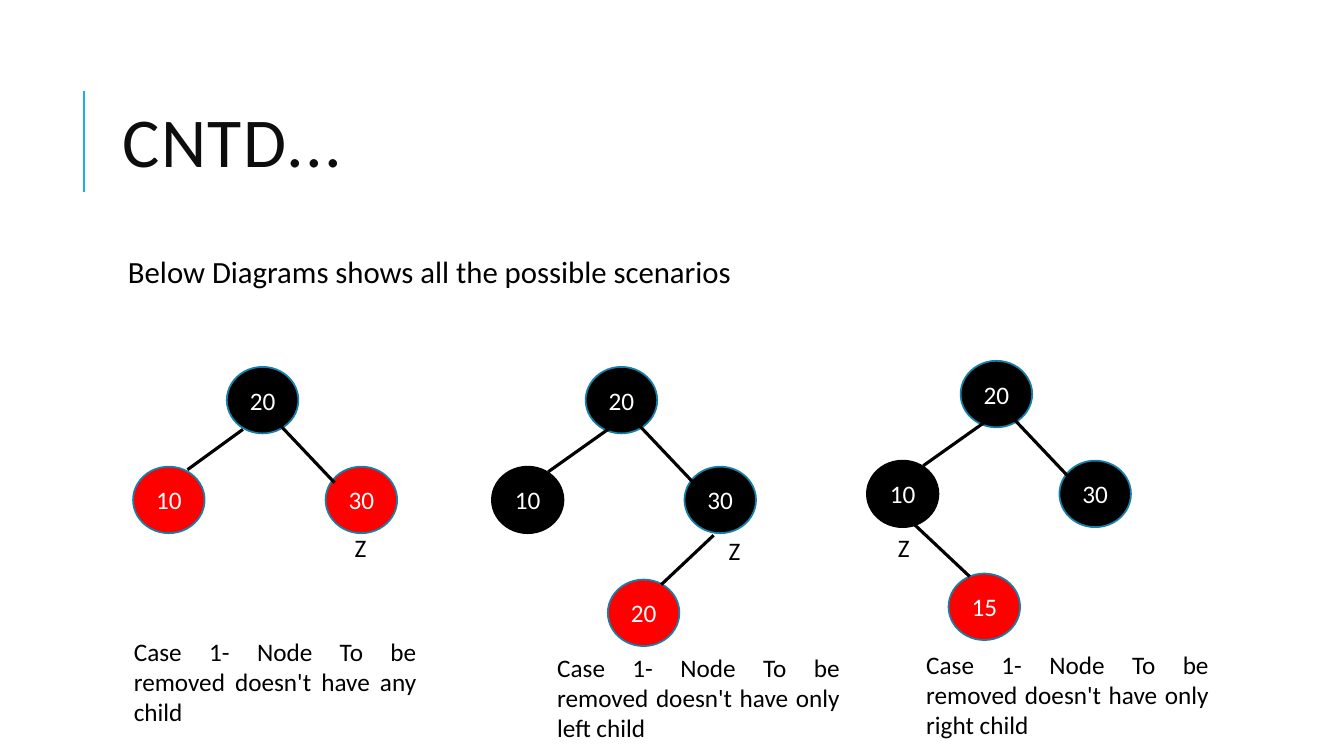
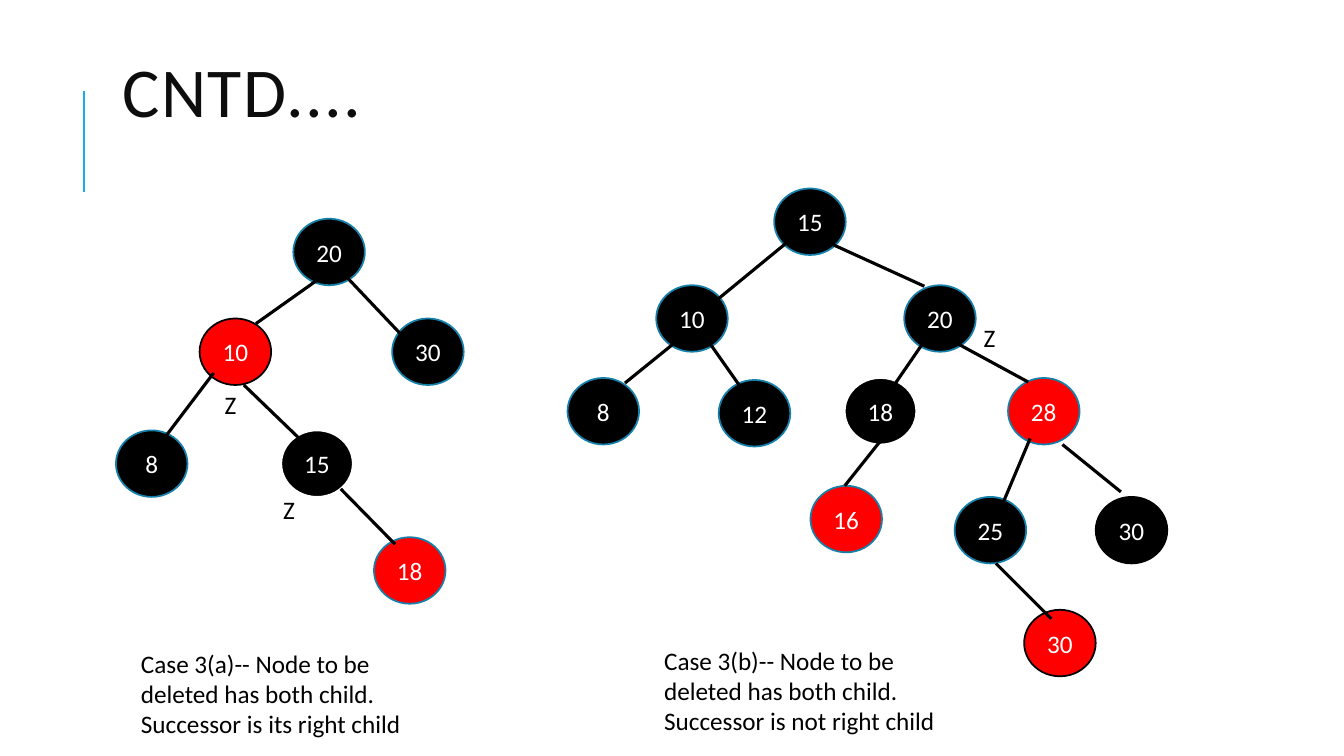
from dataclasses import dataclass
from typing import Optional

from lxml.etree import SubElement
from pptx import Presentation
from pptx.dml.color import RGBColor
from pptx.enum.shapes import MSO_CONNECTOR as Connector, MSO_SHAPE as Preset
from pptx.enum.text import MSO_ANCHOR as Anchor, PP_ALIGN as Align
from pptx.oxml.ns import qn
from pptx.slide import Slide
from pptx.util import Emu, Inches, Pt

FONT = "Calibri"
COLORS = {
    "black": "000000",
    "red": "FF0000",
    "white": "FFFFFF",
    "title": "0D0D0D",
    "accent": "1CADE4",
    "outline": "1580A9",
}

# The grid has square cells, ten to the inch.
CELL = Inches(0.1)
SLIDE_COLUMNS, SLIDE_ROWS = 133.33, 75
NODE_WIDTH, NODE_HEIGHT = 7.1, 6.6
CAPTION_WIDTH, CAPTION_HEIGHT = 30, 10.1
MARK_WIDTH, MARK_HEIGHT = 6.3, 4
CONTENT_LEFT, CONTENT_WIDTH = 11.2, 106.3
TITLE_HEIGHT = 16.4


@dataclass(frozen=True)
class Node:
    value: int
    column: float
    row: float
    fill: str = "black"
    outline: str = "outline"


@dataclass(frozen=True)
class Edge:
    start_column: float
    start_row: float
    end_column: float
    end_row: float

    def moved(self, columns: float, rows: float) -> "Edge":
        return Edge(self.start_column + columns, self.start_row + rows,
                    self.end_column + columns, self.end_row + rows)


@dataclass(frozen=True)
class Caption:
    text: str
    column: float
    row: float
    align: Align = Align.JUSTIFY
    boxed: bool = False


@dataclass(frozen=True)
class Tree:
    nodes: list[Node]
    edges: list[Edge]
    marks: list[tuple[float, float]]
    caption: Caption


@dataclass(frozen=True)
class Page:
    title: str
    title_row: float
    trees: list[Tree]
    lead: Optional[str] = None


LEFT_EDGE = Edge(2.5, 6, -3.7, 10.4)
RIGHT_EDGE = Edge(5.4, 5.9, 10.7, 11.5)


def small_tree(column: float, row: float, caption: Caption,
               marks: list[tuple[float, float]],
               left_fill: str = "black", left_outline: str = "black",
               right_fill: str = "black", left_edge: Edge = LEFT_EDGE,
               nodes: tuple[Node, ...] = (), edges: tuple[Edge, ...] = ()) -> Tree:
    """Root 20 with children 10 and 30, plus any deeper nodes and edges."""
    family = [
        Node(20, column, row),
        Node(10, column - 9.3, row + 9.9, left_fill, left_outline),
        Node(30, column + 9.8, row + 9.9, right_fill),
    ]
    branches = [edge.moved(column, row) for edge in (left_edge, RIGHT_EDGE)]
    return Tree(family + list(nodes), branches + list(edges), marks, caption)


NO_CHILD = small_tree(
    22.5, 36.4,
    Caption("Case 1- Node To be removed doesn't have any child", 12.3, 62.6),
    marks=[(34.2, 52.3)],
    left_fill="red", left_outline="outline", right_fill="red",
    left_edge=Edge(1.6, 6.2, -3.9, 10.2),
)
LEFT_CHILD = small_tree(
    58.1, 36.4,
    Caption("Case 1- Node To be removed doesn't have only left child", 54.3, 64.2),
    marks=[(71.3, 52.6)],
    nodes=(Node(20, 60.3, 57.5, "red"),),
    edges=(Edge(70.8, 53.1, 65.6, 58),),
)
RIGHT_CHILD = small_tree(
    95.3, 35.8,
    Caption("Case 1- Node To be removed doesn't have only right child", 90.9, 63.9),
    marks=[(88.1, 52.3)],
    nodes=(Node(15, 94.1, 56.9, "red"),),
    edges=(Edge(89.5, 50.9, 96.2, 57.2),),
)
SUCCESSOR_IS_CHILD = small_tree(
    29.1, 21.7,
    Caption("Case 3(a)-- Node to be deleted has both child. "
            "Successor is its right child", 13, 63.8, Align.LEFT, True),
    marks=[(21.3, 38.1), (27.1, 48.5)],
    left_fill="red",
    nodes=(
        Node(8, 11.5, 42.7),
        Node(15, 27.9, 42.7, outline="white"),
        Node(18, 37.1, 53.3, "red"),
    ),
    edges=(
        Edge(21.2, 37, 16.5, 43.2),
        Edge(24.2, 38.2, 29.9, 43.7),
        Edge(33.8, 48.5, 39.2, 54),
    ),
)
SUCCESSOR_IS_DEEPER = Tree(
    nodes=[
        Node(15, 76.8, 18.7),
        Node(10, 65.1, 28.3),
        Node(20, 89.7, 28.3),
        Node(8, 56.3, 37.5),
        Node(12, 71.3, 37.7),
        Node(18, 83.8, 37.5, outline="white"),
        Node(28, 100, 37.5, "red"),
        Node(16, 80.4, 48.2, "red"),
        Node(25, 94.7, 49.3),
        Node(30, 108.7, 49.3, outline="black"),
        Node(30, 101.6, 60.5, "red", "black"),
    ],
    edges=[
        Edge(77.9, 24.2, 71.2, 29.7),
        Edge(82.7, 24.3, 91.7, 28.4),
        Edge(66.7, 34.2, 62, 38),
        Edge(70.3, 33.9, 73.4, 38.3),
        Edge(91.8, 33.7, 88.5, 38.5),
        Edge(95, 34.1, 102, 37.9),
        Edge(87.3, 43.8, 83.8, 48.2),
        Edge(102.2, 43.5, 99.5, 49.9),
        Edge(105.4, 44.1, 111.2, 48.8),
        Edge(98.8, 55.9, 104.3, 61.4),
    ],
    marks=[(96.6, 31.5)],
    caption=Caption("Case 3(b)-- Node to be deleted has both child. "
                    "Successor is not right child", 64.9, 63.5, Align.LEFT, True),
)

PAGES = [
    Page("CNTD...", 6.4, [NO_CHILD, LEFT_CHILD, RIGHT_CHILD],
         "Below Diagrams shows all the possible scenarios"),
    Page("CNTD....", 1.5, [SUCCESSOR_IS_CHILD, SUCCESSOR_IS_DEEPER]),
]


def cells(count: float) -> Emu:
    return Emu(round(count * CELL))


def color(name: str) -> RGBColor:
    return RGBColor.from_string(COLORS[name])


def write(shape, text: str, size: float = 18, text_color: str = "black",
          align: Align = Align.LEFT, anchor: Anchor = Anchor.TOP):
    """Put one paragraph in the shape and return it."""
    frame = shape.text_frame
    frame.word_wrap = True
    frame.vertical_anchor = anchor
    paragraph = frame.paragraphs[0]
    paragraph.text = text
    paragraph.alignment = align
    paragraph.font.name = FONT
    paragraph.font.size = Pt(size)
    paragraph.font.color.rgb = color(text_color)
    return paragraph


def add_text_box(slide: Slide, column: float, row: float, width: float, height: float):
    return slide.shapes.add_textbox(*map(cells, (column, row, width, height)))


def add_preset(slide: Slide, preset: Preset, column: float, row: float, width: float,
               height: float, fill: str, outline: str, line_width: float):
    shape = slide.shapes.add_shape(preset, *map(cells, (column, row, width, height)))
    shape.shadow.inherit = False
    shape.fill.solid()
    shape.fill.fore_color.rgb = color(fill)
    shape.line.color.rgb = color(outline)
    shape.line.width = Pt(line_width)
    return shape


def add_line(slide: Slide, edge: Edge, line_color: str = "black",
             width: float = 2.25) -> None:
    ends = (edge.start_column, edge.start_row, edge.end_column, edge.end_row)
    line = slide.shapes.add_connector(Connector.STRAIGHT, *map(cells, ends))
    line.line.color.rgb = color(line_color)
    line.line.width = Pt(width)
    SubElement(line._element.spPr, qn("a:effectLst"))


def add_node(slide: Slide, node: Node) -> None:
    circle = add_preset(slide, Preset.OVAL, node.column, node.row, NODE_WIDTH,
                        NODE_HEIGHT, node.fill, node.outline, 1.25)
    frame = circle.text_frame
    frame.margin_left = frame.margin_right = 0
    write(circle, str(node.value), text_color="white", align=Align.CENTER,
          anchor=Anchor.MIDDLE)


def add_caption(slide: Slide, caption: Caption) -> None:
    area = (caption.column, caption.row, CAPTION_WIDTH, CAPTION_HEIGHT)
    if caption.boxed:
        shape = add_preset(slide, Preset.RECTANGLE, *area, "white", "white", 0.75)
    else:
        shape = add_text_box(slide, *area)
    write(shape, caption.text, align=caption.align)


def add_tree(slide: Slide, tree: Tree) -> None:
    for node in tree.nodes:
        add_node(slide, node)
    for edge in tree.edges:
        add_line(slide, edge)
    for column, row in tree.marks:
        write(add_text_box(slide, column, row, MARK_WIDTH, MARK_HEIGHT), "Z")
    add_caption(slide, tree.caption)


def add_title(slide: Slide, text: str, row: float) -> None:
    add_line(slide, Edge(8.3, 19, 8.3, 9), "accent", 1.5)
    box = add_text_box(slide, CONTENT_LEFT, row, CONTENT_WIDTH, TITLE_HEIGHT)
    paragraph = write(box, text, 50, "title", anchor=Anchor.MIDDLE)
    paragraph.line_spacing = 0.8
    paragraph.runs[0]._r.get_or_add_rPr().set("spc", "100")


def add_lead(slide: Slide, text: str) -> None:
    box = add_text_box(slide, CONTENT_LEFT, 25, CONTENT_WIDTH, 5.8)
    box.text_frame.margin_left = cells(1.5)
    paragraph = write(box, text, 22)
    paragraph.line_spacing = 0.9
    paragraph.space_before = Pt(12)
    paragraph.space_after = Pt(2)


def main() -> None:
    presentation = Presentation()
    presentation.slide_width = cells(SLIDE_COLUMNS)
    presentation.slide_height = cells(SLIDE_ROWS)
    blank_layout = presentation.slide_layouts[6]
    for page in PAGES:
        slide = presentation.slides.add_slide(blank_layout)
        add_title(slide, page.title, page.title_row)
        if page.lead:
            add_lead(slide, page.lead)
        for tree in page.trees:
            add_tree(slide, tree)
    presentation.save("out.pptx")


if __name__ == "__main__":
    main()
